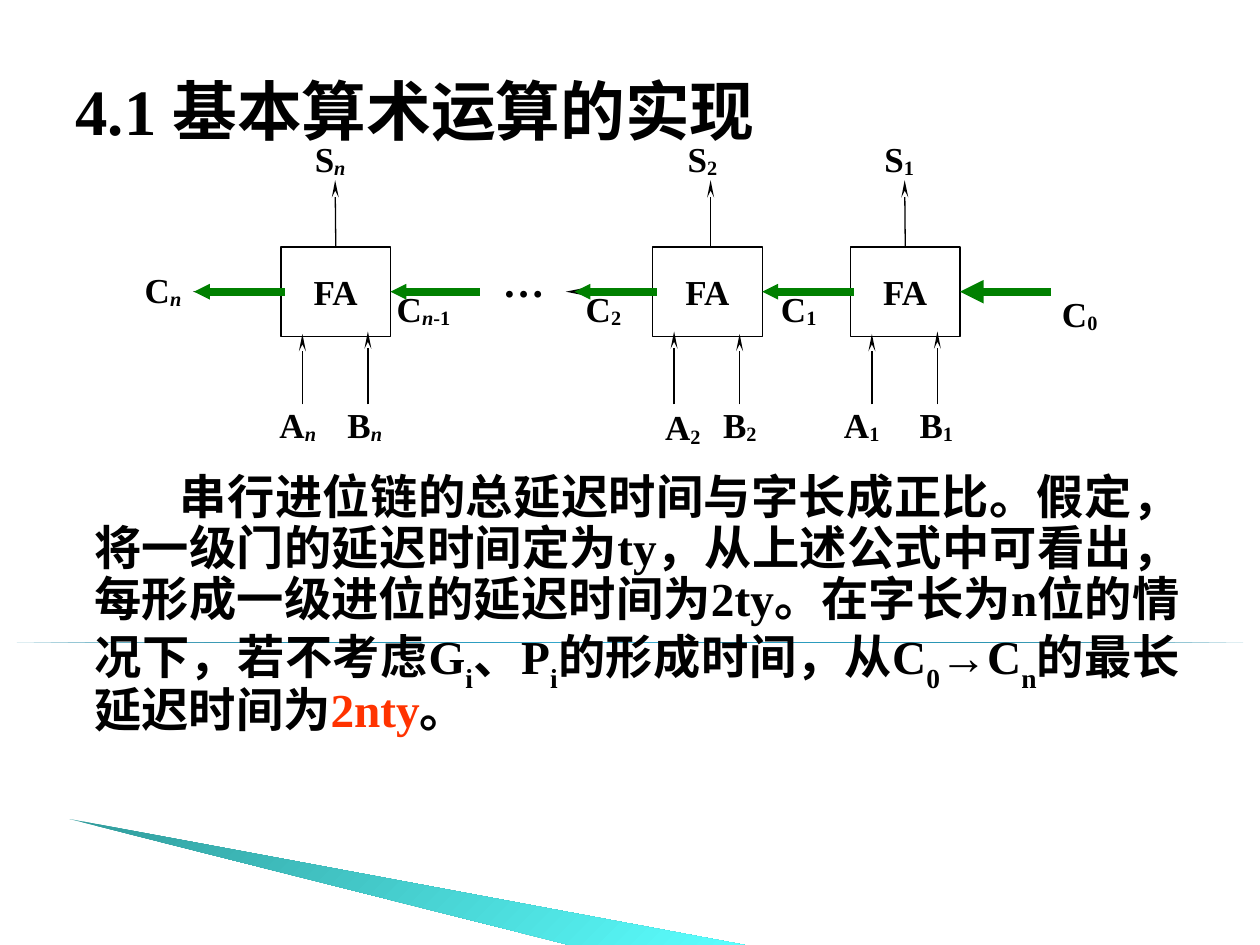
from dataclasses import dataclass
import copy

import pptx
import pptx.dml.color
import pptx.enum.shapes
import pptx.enum.text
import pptx.oxml
import pptx.oxml.ns
import pptx.util

Inches, Pt = pptx.util.Inches, pptx.util.Pt
Align, Anchor = pptx.enum.text.PP_ALIGN, pptx.enum.text.MSO_ANCHOR
AutoSize = pptx.enum.text.MSO_AUTO_SIZE
Preset = pptx.enum.shapes.MSO_SHAPE
qn = pptx.oxml.ns.qn

COLOURS = {"ink": "000000", "carry": "008000", "accent": "FF3300",
           "rule_edge": "007897", "rule_middle": "4ABBE0",
           "wedge_dark": "319C9C", "wedge_light": "5BFFFF"}
LATIN, CHINESE = "Times New Roman", "Noto Sans CJK SC"
TOP, WIDTH, HEIGHT = 1.96, 0.87, 0.71
MIDDLE = TOP + HEIGHT / 2
BOX_TOP, BOX_LEFT, BOX_RIGHT = 0, 1, 3


@dataclass
class Span:
    text: str
    baseline: int = 0
    italic: bool = False
    colour: str = "ink"


@dataclass
class Adder:
    index: str
    left: float
    sum_x: float
    a_tip: float
    b_tip: float
    sum_label: float
    a_label: tuple
    b_label: float


@dataclass
class Carry:
    start: float
    end: float
    green_end: float
    source: str = ""
    target: str = ""
    head: str = "sm"


@dataclass
class Label:
    left: float
    top: float
    letter: str
    index: str
    width: float = 1.56


ADDERS = [
    Adder("n", 2.23, 2.66, 2.65, 2.63, 2.4, (2.12, 3.15), 2.66),
    Adder("2", 5.18, 5.64, 2.63, 2.65, 5.36, (5.18, 3.17), 5.64),
    Adder("1", 6.75, 7.18, 2.65, 2.63, 6.92, (6.6, 3.15), 7.2),
]
CARRIES = [
    Carry(8.31, 7.62, 7.63, target="1", head="med"),
    Carry(6.75, 6.05, 6.06, source="1", target="2"),
    Carry(5.18, 4.49, 4.56, source="2"),
    Carry(3.78, 3.1, 3.1, target="n"),
    Carry(2.23, 1.53, 1.54, source="n"),
]
CARRY_LABELS = [
    Label(6.1, 2.23, "C", "1"), Label(4.55, 2.23, "C", "2"),
    Label(3.05, 2.23, "C", "n-1"), Label(1.05, 2.08, "C", "n"),
    Label(8.33, 2.27, "C", "0", 0.75),
]
BODY = [
    Span("串行进位链的总延迟时间与字长成正比。假定，将一级门的延迟时间定为ty，"
         "从上述公式中可看出，每形成一级进位的延迟时间为2ty。"
         "在字长为n位的情况下，若不考虑G"),
    Span("i", -30), Span("、P"), Span("i", -30), Span("的形成时间，从C"),
    Span("0", -30), Span("→C"), Span("n", -30), Span("的最长延迟时间为"),
    Span("2nty", colour="accent"), Span("。"),
]


def rgb(name: str):
    return pptx.dml.color.RGBColor.from_string(COLOURS[name])


def add_spans(para, spans: list, size: float) -> None:
    for item in spans:
        span = para.add_run()
        span.text = item.text
        font = span.font
        font.name, font.size, font.bold = LATIN, Pt(size), True
        font.italic = item.italic
        font.color.rgb = rgb(item.colour)
        properties = span._r.get_or_add_rPr()
        if item.baseline:
            properties.set("baseline", str(item.baseline * 1000))
        if any(letter > "⿿" for letter in item.text):
            east_asian = pptx.oxml.ns.nsdecls("a")
            properties.append(pptx.oxml.parse_xml(
                f'<a:ea {east_asian} typeface="{CHINESE}"/>'))


def add_text(page, left: float, top: float, width: float, height: float,
             spans: list, size: float, before: float):
    box = page.shapes.add_textbox(*map(Inches, (left, top, width, height)))
    box.text_frame.word_wrap = True
    para = box.text_frame.paragraphs[0]
    para.space_before = Pt(before)
    add_spans(para, spans, size)
    return box


def add_label(page, label: Label) -> None:
    spans = [Span(label.letter)]
    if label.index.startswith("n"):
        spans.append(Span("n", -10, italic=True))
    if label.index != "n":
        spans.append(Span(label.index.removeprefix("n"), -10))
    box = add_text(page, label.left, label.top, label.width, 0.44, spans, 20, 12.5)
    box.text_frame.auto_size = AutoSize.SHAPE_TO_FIT_TEXT


def add_arrow(page, start: tuple, end: tuple, colour: str = "ink",
              width: float = 0.75, head: tuple = ("stealth", "sm", "lg"),
              cap: str = "flat"):
    arrow = page.shapes.add_connector(
        pptx.enum.shapes.MSO_CONNECTOR.STRAIGHT, *map(Inches, (*start, *end)))
    arrow.line.color.rgb = rgb(colour)
    arrow.line.width = Pt(width)
    kind, across, along = head
    namespace = pptx.oxml.ns.nsdecls("a")
    line = arrow.line._get_or_add_ln()
    line.set("cap", cap)
    line.append(pptx.oxml.parse_xml(
        f'<a:tailEnd {namespace} type="{kind}" w="{across}" len="{along}"/>'))
    arrow._element.spPr.append(pptx.oxml.parse_xml(f"<a:effectLst {namespace}/>"))
    return arrow


def add_carry(page, carry: Carry, boxes: dict, end: float, **style) -> None:
    arrow = add_arrow(page, (carry.start, MIDDLE), (end, MIDDLE), **style)
    if carry.source:
        arrow.begin_connect(boxes[carry.source], BOX_LEFT)
    if carry.target:
        arrow.end_connect(boxes[carry.target], BOX_RIGHT)


def add_adder(page, adder: Adder):
    box = page.shapes.add_shape(
        Preset.RECTANGLE, *map(Inches, (adder.left, TOP, WIDTH, HEIGHT)))
    box.shadow.inherit = False
    box.fill.background()
    box.line.color.rgb = rgb("ink")
    box.line.width = Pt(0.75)
    frame = box.text_frame
    frame.word_wrap = False
    frame.vertical_anchor = Anchor.MIDDLE
    frame.paragraphs[0].alignment = Align.CENTER
    add_spans(frame.paragraphs[0], [Span("FA")], 20)

    for offset, tip in ((0.17, adder.a_tip), (0.69, adder.b_tip)):
        x = adder.left + offset
        add_arrow(page, (x, 3.21), (x, tip))
    output = add_arrow(page, (adder.sum_x, TOP), (adder.sum_x, 1.43))
    if abs(adder.sum_x - adder.left - WIDTH / 2) < 0.01:
        output.begin_connect(box, BOX_TOP)
    add_label(page, Label(*adder.a_label, "A", adder.index))
    add_label(page, Label(adder.b_label, 3.15, "B", adder.index))
    add_label(page, Label(adder.sum_label, 1.04, "S", adder.index))
    return box


def fill_gradient(shape, colours: list, angle: float) -> None:
    shape.shadow.inherit = False
    shape.line.fill.background()
    shape.fill.gradient()
    shape.fill.gradient_angle = 360 - angle
    stops = shape.fill._fill._gradFill.find(qn("a:gsLst"))
    while len(stops) < len(colours):
        stops.append(copy.deepcopy(stops[-1]))
    for number, (stop, colour) in enumerate(zip(shape.fill.gradient_stops, colours)):
        stop.position = number / (len(colours) - 1)
        stop.color.rgb = rgb(colour)


def main() -> None:
    deck = pptx.Presentation()
    deck.slide_width, deck.slide_height = Inches(10), Inches(7.5)
    page = deck.slides.add_slide(deck.slide_layouts[5])

    # Background decoration
    rule = page.shapes.add_shape(
        Preset.RIGHT_TRIANGLE, 0, Inches(5.1), Inches(10), 0)
    fill_gradient(rule, ["rule_edge", "rule_middle", "rule_edge"], 50)
    outline = page.shapes.build_freeform(Inches(0.55), Inches(6.5), scale=1.0)
    outline.add_line_segments(
        [(Inches(5.91), Inches(7.5)), (Inches(4.52), Inches(7.5))], close=True)
    fill_gradient(outline.convert_to_shape(), ["wedge_dark", "wedge_light"], 45)

    # Title
    title = page.shapes.title
    title.left, title.top, title.width, title.height = map(Inches, (0.5, 0.3, 9, 1.25))
    title.text_frame.auto_size = AutoSize.NONE
    title.text_frame.vertical_anchor = Anchor.MIDDLE
    para = title.text_frame.paragraphs[0]
    para.alignment, para.line_spacing = Align.LEFT, 0.8
    add_spans(para, [Span("4.1 "), Span("基本算术运算的实现")], 37)

    # Explanation, with its first line indented and no hanging punctuation
    body = add_text(page, 0.25, 3.71, 9.21, 3.42, BODY, 27, 4)
    para = body.text_frame.paragraphs[0]
    para.alignment, para.line_spacing = Align.JUSTIFY, 0.9
    properties = para._p.get_or_add_pPr()
    properties.set("marL", str(Inches(0.4)))
    properties.set("indent", str(Inches(0.68)))
    properties.set("hangingPunct", "0")

    # Adder chain and its carries
    boxes = {adder.index: add_adder(page, adder) for adder in ADDERS}
    for carry in CARRIES:
        add_carry(page, carry, boxes, carry.end)
    add_text(page, 3.89, 1.98, 1.57, 0.5, [Span("…")], 24, 15)
    for label in CARRY_LABELS:
        add_label(page, label)
    for carry in CARRIES:
        add_carry(page, carry, boxes, carry.green_end, colour="carry", width=4.5,
                  head=("triangle", carry.head, carry.head), cap="sq")

    deck.save("out.pptx")


if __name__ == "__main__":
    main()
